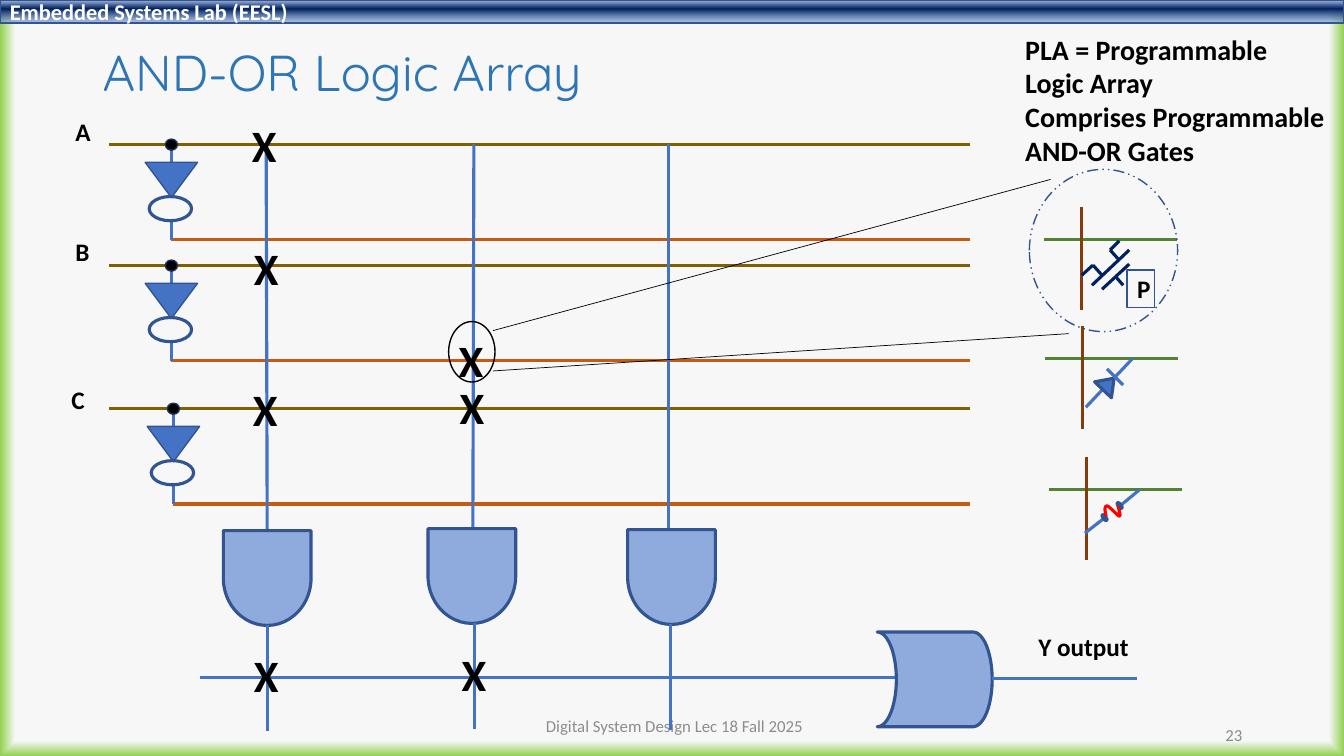
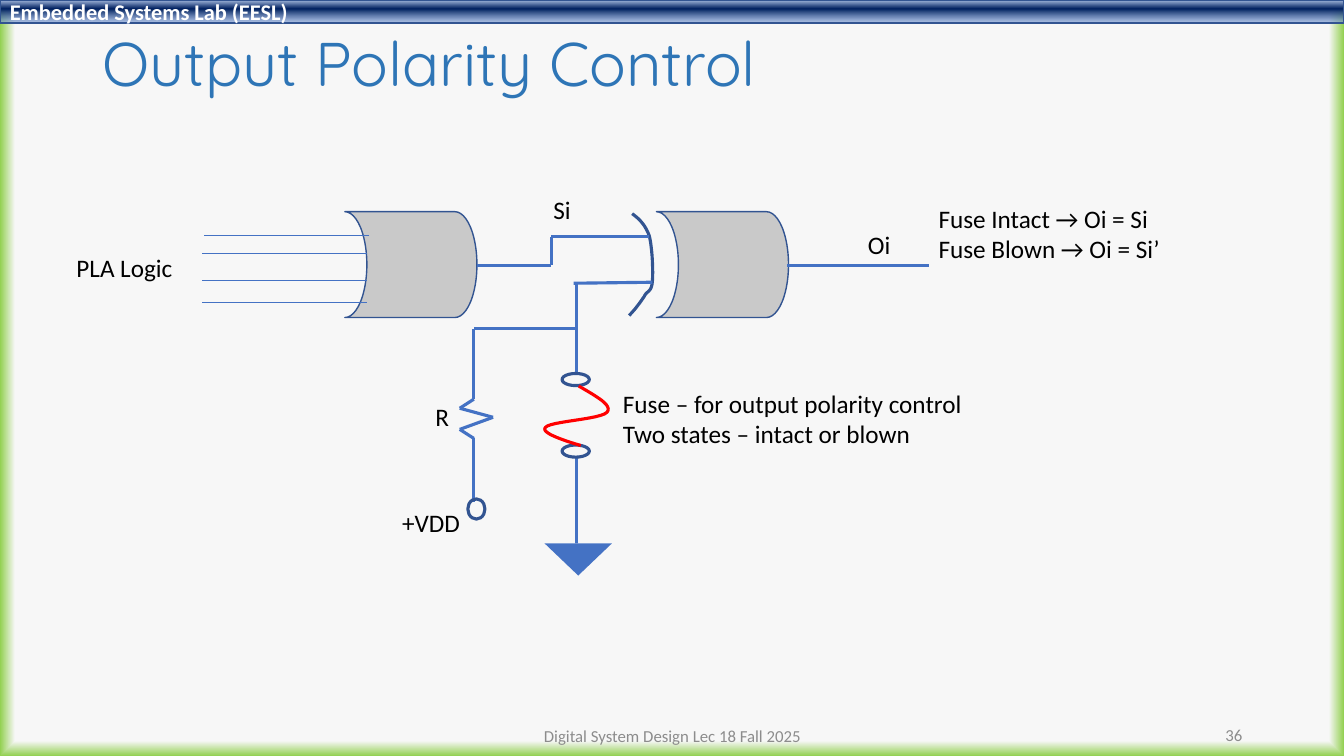
"""Build two lecture slides on programmable logic arrays."""
import itertools

import lxml.etree
import pptx
import pptx.dml.color
import pptx.enum.dml
import pptx.enum.shapes
import pptx.enum.text
import pptx.oxml.ns
import pptx.util

Inches = pptx.util.Inches
SHAPE = pptx.enum.shapes.MSO_SHAPE
ALIGN = pptx.enum.text.PP_ALIGN
ANCHOR = pptx.enum.text.MSO_ANCHOR
qn = pptx.oxml.ns.qn

COLORS = {
    "page": "F7F7F7", "glow": "92D050", "title": "2E75B6", "footer": "8C8C8C",
    "band_top": "ABC0E4", "navy": "002060", "band_end": "7E9ED6",
    "wire": "4472C4", "outline": "325491", "gate": "8FAADC", "gray_gate": "C9C9C9",
    "input": "806000", "complement": "C55A11", "cell_row": "548235",
    "cell_column": "843C0B", "fuse": "FF0000", "dot_line": "1E3256",
    "black": "000000", "white": "FFFFFF",
}


def rgb(name):
    """Return the named colour."""
    return pptx.dml.color.RGBColor.from_string(COLORS[name])


def set_gradient(owner, fill, stops, center=False):
    """Fill with (percent, colour, opacity) stops, downward or from the centre."""
    fill.gradient()
    gradient = next(owner.element.iter(qn("a:gradFill")))
    gradient.clear()
    add = lxml.etree.SubElement
    stop_list = add(gradient, qn("a:gsLst"))
    for percent, color, opacity in stops:
        stop = add(stop_list, qn("a:gs"), pos=str(percent * 1000))
        value = add(stop, qn("a:srgbClr"), val=COLORS[color])
        if opacity < 100:
            add(value, qn("a:alpha"), val=str(opacity * 1000))
    if center:
        shade = add(gradient, qn("a:path"), path="shape")
        add(shade, qn("a:fillToRect"), **dict.fromkeys("ltrb", "50000"))
    else:
        add(gradient, qn("a:lin"), ang="5400000", scaled="0")


def write_text(frame, text, size=18, color="black", font="Calibri", bold=False,
               align=ALIGN.LEFT, anchor=ANCHOR.TOP, wrap=True, spacing=None):
    """Write one formatted paragraph per line of text."""
    frame.word_wrap = wrap
    frame.vertical_anchor = anchor
    for index, line in enumerate(text.split("\n")):
        para = frame.add_paragraph() if index else frame.paragraphs[0]
        para.alignment = align
        if spacing:
            para.line_spacing = spacing
        span = para.add_run()
        span.text = line
        span.font.name = font
        span.font.size = pptx.util.Pt(size)
        span.font.bold = bold
        span.font.color.rgb = rgb(color)


def add_text(page, text, left, top, width, height, **style):
    """Add a text box."""
    box = page.shapes.add_textbox(*map(Inches, (left, top, width, height)))
    write_text(box.text_frame, text, **style)
    return box


def add_label(page, text, left, top, width, height=0.4, **style):
    """Add an unwrapped label that fits its text."""
    box = add_text(page, text, left, top, width, height, wrap=False, **style)
    box.text_frame.auto_size = pptx.enum.text.MSO_AUTO_SIZE.SHAPE_TO_FIT_TEXT


def style_shape(shape, fill, line, weight):
    """Set fill and outline and drop the shadow."""
    shape.shadow.inherit = False
    if fill:
        shape.fill.solid()
        shape.fill.fore_color.rgb = rgb(fill)
    else:
        shape.fill.background()
    if line:
        shape.line.color.rgb = rgb(line)
        shape.line.width = pptx.util.Pt(weight)
    else:
        shape.line.fill.background()


def add_shape(page, kind, left, top, width, height, fill=None, line="outline",
              weight=2.25, turn=0):
    """Add a preset shape."""
    shape = page.shapes.add_shape(kind, *map(Inches, (left, top, width, height)))
    shape.rotation = turn
    style_shape(shape, fill, line, weight)
    return shape


def add_wire(page, *points, color="wire", weight=2.25):
    """Join the points with straight connectors."""
    for start, end in itertools.pairwise(points):
        line = page.shapes.add_connector(
            pptx.enum.shapes.MSO_CONNECTOR.STRAIGHT, *map(Inches, start + end))
        line.line.color.rgb = rgb(color)
        line.line.width = pptx.util.Pt(weight)
        lxml.etree.SubElement(line.element.spPr, qn("a:effectLst"))


def bezier(points, t):
    """Return the point at t on a cubic curve."""
    weights = ((1 - t) ** 3, 3 * t * (1 - t) ** 2, 3 * t * t * (1 - t), t ** 3)
    return tuple(Inches(sum(w * p[axis] for w, p in zip(weights, points)))
                 for axis in (0, 1))


def add_curve(page, *points, color="outline", steps=12):
    """Draw chained cubic curves; neighbours share an end point."""
    outline = [bezier(points[first:first + 4], step / steps)
               for first in range(0, len(points) - 1, 3)
               for step in range(1, steps + 1)]
    builder = page.shapes.build_freeform(*map(Inches, points[0]))
    builder.add_line_segments(outline, close=False)
    style_shape(builder.convert_to_shape(), None, color, 2.25)


def add_page(deck, title, number, title_top, title_height, title_size,
             footer_left, footer_top):
    """Add a slide with the band, title, footer and number."""
    page = deck.slides.add_slide(deck.slide_layouts[6])
    band = add_shape(page, SHAPE.RECTANGLE, 0, 0, 13.33, 0.23, weight=1)
    set_gradient(band, band.fill, [(2, "band_top", 100), (38, "navy", 100),
                                   (93, "band_end", 64)])
    write_text(band.text_frame, "Embedded Systems Lab (EESL)", size=16,
               color="white", bold=True, anchor=ANCHOR.MIDDLE)
    add_text(page, title, 0.92, title_top, 11.5, title_height, size=title_size,
             color="title", font="Quicksand", anchor=ANCHOR.MIDDLE, spacing=0.9)
    small = {"size": 12, "color": "footer", "anchor": ANCHOR.MIDDLE}
    add_text(page, number, 9.42, 7.09, 3, 0.4, align=ALIGN.RIGHT, **small)
    add_text(page, "Digital System Design Lec 18 Fall 2025", footer_left,
             footer_top, 4.5, 0.4, align=ALIGN.CENTER, **small)
    return page


def add_input(page, name, x, y, label_left, label_top):
    """Draw an input line and its inverted line."""
    add_wire(page, (1.08, y), (9.62, y), color="input")
    add_wire(page, (x, y + 0.95), (9.62, y + 0.95), color="complement")
    add_wire(page, (x, y), (x, y + 0.18))
    add_wire(page, (x, y + 0.77), (x, y + 0.95))
    add_shape(page, SHAPE.ISOSCELES_TRIANGLE, x - 0.26, y + 0.18, 0.52, 0.35,
              fill="wire", weight=1, turn=180)
    add_shape(page, SHAPE.OVAL, x - 0.22, y + 0.52, 0.42, 0.24)
    add_shape(page, SHAPE.OVAL, x - 0.06, y - 0.05, 0.12, 0.11, fill="black",
              line="dot_line", weight=1)
    add_label(page, name, label_left, label_top, 0.34, bold=True)


def add_product(page, top_x, gate_x, output_x, gate_left, gate_top):
    """Draw a product column with its AND gate."""
    add_wire(page, (top_x, 1.43), (gate_x, 5.27))
    add_shape(page, SHAPE.FLOWCHART_DELAY, gate_left, gate_top, 0.94, 0.87,
              fill="gate", turn=90)
    add_wire(page, (output_x, gate_top + 0.9), (output_x, gate_top + 1.95))


def add_or_gate(page, left, top, width, height, **style):
    """Draw an OR gate body."""
    add_shape(page, SHAPE.FLOWCHART_STORED_DATA, left, top, width, height,
              turn=180, **style)


def add_cell(page, x, y):
    """Draw the crossing lines of one programmable cell."""
    add_wire(page, (x, y), (x + 1.32, y), color="cell_row")
    add_wire(page, (x + 0.38, y - 0.33), (x + 0.38, y + 0.7), color="cell_column")


def add_transistor_cell(page):
    """Draw the cell with a programmable transistor."""
    add_cell(page, 10.35, 2.38)
    for points in (
        [(10.83, 2.83), (11.2, 2.48)],
        [(10.93, 2.87), (11.2, 2.62)],
        [(10.93, 2.73), (10.84, 2.63), (10.73, 2.73)],
        [(11.1, 2.58), (11.01, 2.48), (11.1, 2.39)],
        [(11.07, 2.75), (11.14, 2.83)],
    ):
        add_wire(page, *points, color="navy")
    program = add_shape(page, SHAPE.RECTANGLE, 11.18, 2.68, 0.27, 0.37, weight=1)
    write_text(program.text_frame, "P", bold=True, align=ALIGN.CENTER,
               anchor=ANCHOR.MIDDLE)


def add_diode_cell(page):
    """Draw the cell with a diode."""
    add_cell(page, 10.36, 3.56)
    add_wire(page, (10.77, 4.04), (10.94, 3.86))
    add_shape(page, SHAPE.ISOSCELES_TRIANGLE, 10.88, 3.73, 0.23, 0.16,
              fill="wire", turn=43.5)
    add_wire(page, (10.98, 3.66), (11.14, 3.82))
    add_wire(page, (11.06, 3.74), (11.23, 3.56))


def add_fuse_cell(page):
    """Draw the cell with a fuse."""
    add_cell(page, 10.4, 4.86)
    add_wire(page, (10.76, 5.29), (10.94, 5.15))
    add_wire(page, (11.12, 5.01), (11.3, 4.86))
    for left, top in ((10.94, 5.1), (11.09, 4.98)):
        add_shape(page, SHAPE.OVAL, left, top, 0.03, 0.07, turn=321.6)
    add_curve(page, (10.97, 5.12), (10.96, 5.07), (10.95, 5.02), (10.98, 5.02),
              (11, 5.02), (11.09, 5.12), (11.1, 5.12), (11.12, 5.12),
              (11.1, 5.07), (11.09, 5.02), color="fuse")


def build_array(deck):
    """Build the AND-OR array slide."""
    page = add_page(deck, "AND-OR Logic Array", "23", 0.4, 0.7, 36, 4.44, 7)
    for row in (("A", 1.7, 1.43, 0.65, 1.1), ("B", 1.7, 2.63, 0.65, 2.3),
                ("C", 1.72, 4.05, 0.61, 3.76)):
        add_input(page, *row)
    for column in ((2.64, 2.65, 2.65, 2.18, 5.3), (4.7, 4.69, 4.71, 4.21, 5.28),
                   (6.63, 6.63, 6.65, 6.19, 5.29)):
        add_product(page, *column)
    add_wire(page, (1.98, 6.72), (8.98, 6.72))
    add_or_gate(page, 8.7, 6.27, 1.14, 0.94, fill="gate")
    add_wire(page, (9.84, 6.73), (11.28, 6.73))
    for left, top in ((2.4, 1.12), (2.42, 2.34), (2.41, 3.74), (4.45, 3.25),
                      (4.46, 3.72), (2.42, 6.38), (4.48, 6.37)):
        add_label(page, "X", left, top, 0.45, 0.64, size=32, bold=True)
    add_label(page, "Y output", 10.2, 6.21, 1.11, bold=True)
    add_label(page, "PLA = Programmable\nLogic Array\nComprises Programmable\n"
              "AND-OR Gates", 10.07, 0.27, 3.2, 1.45, size=20, bold=True)
    add_transistor_cell(page)
    add_diode_cell(page)
    add_fuse_cell(page)
    add_wire(page, (4.89, 3.28), (10.42, 1.78), color="black", weight=0.5)
    add_wire(page, (4.89, 3.68), (10.6, 3.31), color="black", weight=0.5)
    zoom = add_shape(page, SHAPE.OVAL, 10.21, 1.68, 1.47, 1.61, weight=1)
    zoom.line.dash_style = pptx.enum.dml.MSO_LINE.DASH_DOT_DOT
    add_shape(page, SHAPE.OVAL, 4.45, 3.19, 0.46, 0.6, line="black", weight=1)


def build_polarity(deck):
    """Build the output polarity slide."""
    page = add_page(deck, "Output Polarity Control", "36", 0.15, 1.02, 44, 4.42, 7.1)
    for left in (3.42, 6.51):
        add_or_gate(page, left, 2.1, 1.31, 1.05, fill="gray_gate", weight=1)
    add_curve(page, (6.27, 2.12), (6.34, 2.17), (6.4, 2.23), (6.44, 2.34),
              (6.47, 2.46), (6.48, 2.7), (6.47, 2.8), (6.46, 2.9), (6.42, 2.88),
              (6.39, 2.94), (6.35, 3), (6.3, 3.07), (6.24, 3.13))
    for right, y in ((3.66, 2.34), (3.64, 2.51), (3.64, 2.78), (3.64, 3)):
        add_wire(page, (right, y), (right - 1.64, y), weight=0.5)
    for points in (
        [(4.73, 2.63), (5.47, 2.63), (5.47, 2.35), (6.44, 2.35)],
        [(6.47, 2.8), (5.69, 2.81)],
        [(5.72, 2.81), (5.72, 3.71)],
        [(5.72, 4.54), (5.72, 5.42)],
        [(5.72, 3.26), (4.7, 3.26), (4.7, 3.96), (4.56, 4.05), (4.89, 4.14),
         (4.56, 4.26), (4.7, 4.35), (4.7, 4.98)],
        [(7.81, 2.63), (9.21, 2.63)],
    ):
        add_wire(page, *points)
    for top in (3.63, 4.34):
        add_shape(page, SHAPE.OVAL, 5.65, top, 0.12, 0.27, turn=90)
    add_curve(page, (5.74, 3.83), (5.91, 3.93), (6.08, 4.02), (6.02, 4.09),
              (5.96, 4.16), (5.45, 4.18), (5.41, 4.24), (5.36, 4.29),
              (5.56, 4.36), (5.76, 4.42), color="fuse")
    ground = add_shape(page, SHAPE.ISOSCELES_TRIANGLE, 5.4, 5.39, 0.67, 0.32,
                       line=None, turn=180)
    ground.fill.patterned()
    ground.fill.pattern = pptx.enum.dml.MSO_PATTERN.DARK_HORIZONTAL
    ground.fill.fore_color.rgb = rgb("wire")
    ground.fill.back_color.rgb = rgb("white")
    add_shape(page, SHAPE.OVAL, 4.64, 4.95, 0.17, 0.2)
    for label in (
        ("PLA Logic", 0.66, 2.45, 1.17), ("Si", 5.39, 1.88, 0.38),
        ("Oi", 8.51, 2.23, 0.43), ("R", 4.22, 3.93, 0.34),
        ("+VDD", 3.89, 4.98, 0.78),
        ("Fuse Intact → Oi = Si\nFuse Blown → Oi = Si’", 9.21, 1.97, 2.41, 0.71),
        ("Fuse – for output polarity control\nTwo states – intact or blown",
         6.08, 3.8, 3.6, 0.71),
    ):
        add_label(page, *label)


def main():
    """Build and save the deck."""
    deck = pptx.Presentation()
    deck.slide_width, deck.slide_height = Inches(13.33), Inches(7.5)
    master = deck.slide_master
    set_gradient(master, master.background.fill,
                 [(96, "page", 100), (100, "glow", 100)], center=True)
    build_array(deck)
    build_polarity(deck)
    deck.save("out.pptx")


if __name__ == "__main__":
    main()
